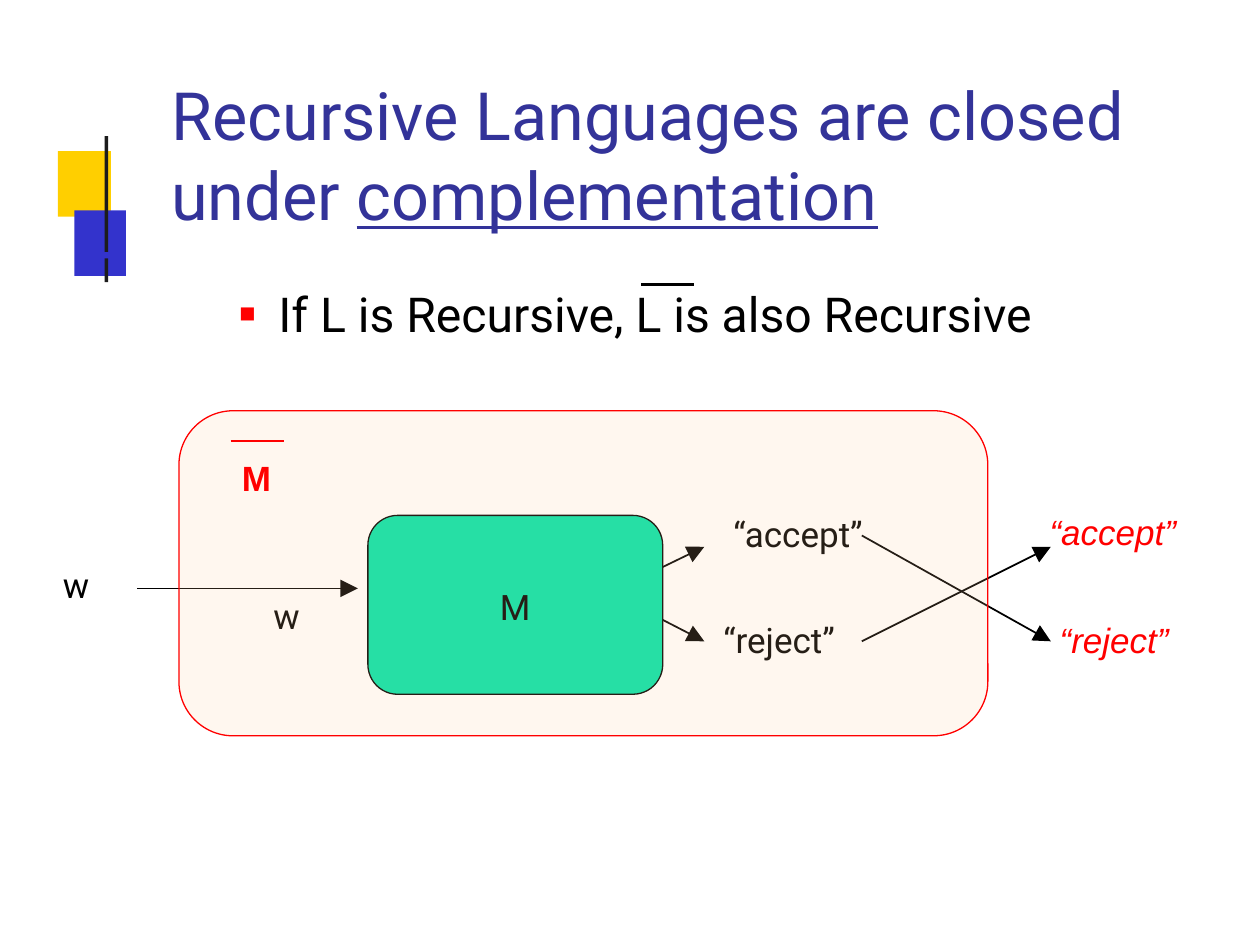
from dataclasses import dataclass

from lxml.etree import SubElement
from pptx import Presentation
from pptx.dml.color import RGBColor
from pptx.enum.shapes import MSO_CONNECTOR, MSO_SHAPE
from pptx.enum.text import MSO_ANCHOR, MSO_AUTO_SIZE, PP_ALIGN
from pptx.oxml.ns import qn
from pptx.shapes.autoshape import Shape
from pptx.slide import Slide
from pptx.text.text import TextFrame, _Paragraph
from pptx.util import Inches, Pt

COLORS = {
    "gold": "FFCF00",
    "blue": "3333CC",
    "bar": "1C1C1C",
    "title": "333399",
    "black": "000000",
    "red": "FF0000",
    "green": "00E3A8",
    "peach": "FFCC99",
}


@dataclass
class Box:
    left: float
    top: float
    width: float
    height: float
    fill: str
    edge: str = ""
    form: MSO_SHAPE = MSO_SHAPE.RECTANGLE


@dataclass
class Label:
    text: str
    left: float
    top: float
    width: float
    color: str = "black"
    face: str = "Roboto"
    bold: bool = False
    slant: bool = False


@dataclass
class Line:
    start: tuple[float, float]
    end: tuple[float, float]
    color: str = "black"
    weight: float = 1
    arrow: bool = True


ROUND = MSO_SHAPE.ROUNDED_RECTANGLE
MARKS = [
    Box(0.46, 1.2, 0.42, 0.52, "gold"),
    Box(0.59, 1.67, 0.41, 0.52, "blue"),
    Box(0.83, 1.08, 0.03, 0.92, "bar"),
    Box(0.83, 2.05, 0.03, 0.19, "bar"),
]
INNER = Box(2.92, 4.09, 2.34, 1.42, "green", "black", ROUND)
OUTER = Box(1.42, 3.26, 6.42, 2.58, "peach", "red", ROUND)
LABELS = [
    Label("w", 0.5, 4.45, 0.23),
    Label("w", 2.17, 4.7, 0.23),
    Label("“accept”", 5.82, 4.05, 1.06),
    Label("“reject”", 5.74, 4.89, 0.91),
    Label("“accept”", 8.33, 4.03, 1.06, "red", "Arial", slant=True),
    Label("“reject”", 8.41, 4.89, 0.91, "red", "Arial", slant=True),
    Label("M", 1.92, 3.6, 0.26, "red", "Arial", bold=True),
]
ARROWS = [
    Line((1.09, 4.67), (2.84, 4.67)),
    Line((5.26, 4.5), (5.59, 4.34)),
    Line((5.26, 4.92), (5.59, 5.09)),
    Line((6.84, 4.25), (8.34, 5.09)),
    Line((6.84, 5.09), (8.34, 4.34)),
]
BARS = [
    Line((1.83, 3.5), (2.25, 3.5), "red", 1.5, False),
    Line((5.09, 2.26), (5.51, 2.26), "black", 1.5, False),
]


def paint(name: str) -> RGBColor:
    return RGBColor.from_string(COLORS[name])


def add_run(para: _Paragraph, text: str, size: float, color: str, face: str = "Roboto"):
    run = para.add_run()
    run.text = text
    run.font.size = Pt(size)
    run.font.name = face
    run.font.color.rgb = paint(color)
    return run


def set_frame(frame: TextFrame) -> _Paragraph:
    frame.word_wrap = True
    frame.auto_size = MSO_AUTO_SIZE.NONE
    frame.vertical_anchor = MSO_ANCHOR.TOP
    frame.margin_left = frame.margin_right = frame.margin_bottom = 0
    frame.margin_top = Inches(0.02)
    para = frame.paragraphs[0]
    para.alignment = PP_ALIGN.LEFT
    para.space_before = Pt(0)
    return para


def place(shape: Shape, left: float, top: float, width: float, height: float) -> None:
    shape.left, shape.top = Inches(left), Inches(top)
    shape.width, shape.height = Inches(width), Inches(height)


def draw_box(slide: Slide, box: Box) -> Shape:
    sides = map(Inches, (box.left, box.top, box.width, box.height))
    shape = slide.shapes.add_shape(box.form, *sides)
    shape.shadow.inherit = False
    shape.fill.solid()
    shape.fill.fore_color.rgb = paint(box.fill)
    if box.edge:
        shape.line.color.rgb = paint(box.edge)
        shape.line.width = Pt(0.75)
    else:
        shape.line.fill.background()
    return shape


def draw_label(slide: Slide, label: Label) -> None:
    sides = map(Inches, (label.left, label.top, label.width, 0.37))
    para = set_frame(slide.shapes.add_textbox(*sides).text_frame)
    run = add_run(para, label.text, 20, label.color, label.face)
    run.font.bold, run.font.italic = label.bold, label.slant


def draw_line(slide: Slide, line: Line) -> None:
    ends = map(Inches, (*line.start, *line.end))
    link = slide.shapes.add_connector(MSO_CONNECTOR.STRAIGHT, *ends)
    link.line.color.rgb = paint(line.color)
    link.line.width = Pt(line.weight)
    if line.arrow:
        SubElement(link.line._get_or_add_ln(), qn("a:tailEnd"), type="triangle", w="lg", len="lg")
    SubElement(link._element.spPr, qn("a:effectLst"))


def fill_title(shape: Shape) -> None:
    place(shape, 1.36, 0.57, 7.71, 1.3)
    para = set_frame(shape.text_frame)
    add_run(para, "Recursive Languages are closed under ", 38, "title")
    add_run(para, "complementation", 38, "title").font.underline = True


def fill_body(shape: Shape) -> None:
    place(shape, 1.88, 2.24, 6.54, 0.49)
    para = set_frame(shape.text_frame)
    props = para._p.get_or_add_pPr()
    props.set("marL", str(Inches(0.33)))
    props.set("indent", str(Inches(-0.31)))
    SubElement(SubElement(props, qn("a:buClr")), qn("a:srgbClr"), val=COLORS["red"])
    SubElement(props, qn("a:buSzPct"), val="56000")
    SubElement(props, qn("a:buFont"), typeface="Arial")
    SubElement(props, qn("a:buChar"), char="■")
    add_run(para, "If L is Recursive, L is also Recursive", 27.5, "black")


def main() -> None:
    """Build the slide on closure under complementation."""
    deck = Presentation()
    deck.slide_width, deck.slide_height = Inches(10), Inches(7.5)
    slide = deck.slides.add_slide(deck.slide_layouts[1])
    for mark in MARKS:
        draw_box(slide, mark)
    fill_title(slide.shapes.title)
    fill_body(slide.placeholders[1])

    inner = draw_box(slide, INNER)
    para = set_frame(inner.text_frame)
    inner.text_frame.vertical_anchor = MSO_ANCHOR.MIDDLE
    para.alignment = PP_ALIGN.CENTER
    add_run(para, "M", 20, "black")

    for arrow in ARROWS:
        draw_line(slide, arrow)
    for label in LABELS[:-1]:
        draw_label(slide, label)
    outer = draw_box(slide, OUTER)
    tint = outer._element.spPr.find(qn("a:solidFill"))[0]
    SubElement(tint, qn("a:alpha"), val="15000")
    draw_label(slide, LABELS[-1])
    for bar in BARS:
        draw_line(slide, bar)
    deck.save("out.pptx")


if __name__ == "__main__":
    main()
